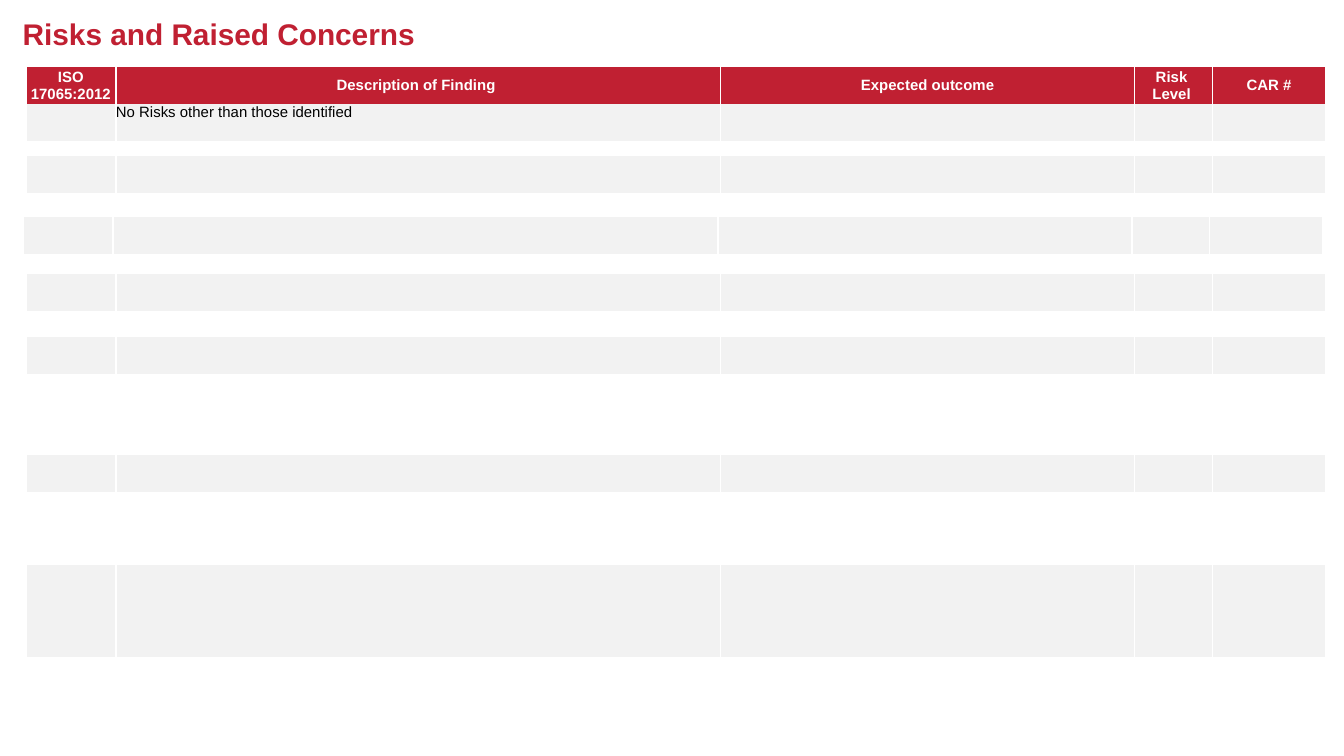
import pptx
import pptx.util
import pptx.dml.color
import pptx.enum.text
import pptx.oxml.ns
from dataclasses import dataclass
from lxml import etree

Pt = pptx.util.Pt
RGB = pptx.dml.color.RGBColor.from_string
qn = pptx.oxml.ns.qn
ALIGN = pptx.enum.text.PP_ALIGN
ANCHOR = pptx.enum.text.MSO_ANCHOR


@dataclass(frozen=True)
class Theme:
    font: str = "Arial"
    red: str = "C02032"
    grey: str = "F2F2F2"
    white: str = "FFFFFF"
    black: str = "000000"
    title: float = 16
    body: float = 8
    rule: float = 1


THEME = Theme()
TITLE_FORMAT = {"color": THEME.red, "size": THEME.title, "bold": True}
HEADER = {"fill": THEME.red, "align": ALIGN.CENTER, "anchor": ANCHOR.MIDDLE,
          "font": {"color": THEME.white, "size": THEME.body, "bold": True}}
BODY = {"fill": THEME.grey, "align": ALIGN.LEFT, "anchor": ANCHOR.TOP,
        "font": {"color": THEME.black, "size": THEME.body, "bold": False}}

COLUMNS = [48.2, 324, 221.8, 41.8, 60.5]
HEADINGS = ["ISO 17065:2012", "Description of Finding ", "Expected outcome",
            "Risk \nLevel ", "CAR #"]
EMPTY = [""] * len(COLUMNS)
FINDING = ["", "No Risks other than those identified", "", "", ""]
LEFT, ROW = 13.9, 19.9
# left, top, height, texts, cell format
STRIPS = [
    (LEFT, 35.9, ROW, HEADINGS, HEADER),
    (LEFT, 55.8, ROW, FINDING, BODY),
    (LEFT, 83.6, ROW, EMPTY, BODY),
    (12.3, 116.2, ROW, EMPTY, BODY),
    (LEFT, 146.8, ROW, EMPTY, BODY),
    (LEFT, 180.5, ROW, EMPTY, BODY),
    (LEFT, 243.8, ROW, EMPTY, BODY),
    (LEFT, 302.6, 49.3, EMPTY, BODY),
]


def format_run(r, fmt):
    r.font.name = THEME.font
    r.font.color.rgb = RGB(fmt["color"])
    for name, value in {"size": Pt(fmt["size"]), "bold": fmt["bold"]}.items():
        setattr(r.font, name, value)


def write(tf, text, fmt, align=ALIGN.LEFT):
    """Put one paragraph per line of text; an empty one keeps the small type size."""
    for i, line in enumerate(text.split("\n")):
        p = tf.paragraphs[0] if i == 0 else tf.add_paragraph()
        p.alignment = align
        if line:
            r = p.add_run()
            r.text = line
            format_run(r, fmt)
        else:
            etree.SubElement(p._p, qn("a:endParaRPr"), sz=str(round(fmt["size"] * 100)))


def rule_sides(cell):
    """White rules at left and right, none at top and bottom."""
    tcPr = cell._tc.get_or_add_tcPr()
    for side in "LRTB":
        ln = etree.SubElement(tcPr, qn("a:ln" + side), w=str(Pt(THEME.rule)))
        if side in "LR":
            fill = etree.SubElement(ln, qn("a:solidFill"))
            etree.SubElement(fill, qn("a:srgbClr"), val=THEME.white)
        else:
            etree.SubElement(ln, qn("a:noFill"))


def add_title(s, x, y, w, h):
    tf = s.shapes.add_textbox(Pt(x), Pt(y), Pt(w), Pt(h)).text_frame
    for side in ("left", "top", "right", "bottom"):
        setattr(tf, "margin_" + side, 0)
    tf.word_wrap = True
    write(tf, "Risks and Raised Concerns", TITLE_FORMAT)


def add_strip(s, x, y, h, texts, fmt):
    """Add a one-row table with the shared columns."""
    frame = s.shapes.add_table(1, len(COLUMNS), Pt(x), Pt(y), Pt(sum(COLUMNS)), Pt(h))
    table = frame.table
    table.first_row = table.horz_banding = False
    table.rows[0].height = Pt(h)
    for column, width in zip(table.columns, COLUMNS):
        column.width = Pt(width)
    for cell, text in zip(table.rows[0].cells, texts):
        for side in ("left", "top", "right", "bottom"):
            setattr(cell, "margin_" + side, 0)
        cell.vertical_anchor = fmt["anchor"]
        rule_sides(cell)
        cell.fill.solid()
        cell.fill.fore_color.rgb = RGB(fmt["fill"])
        write(cell.text_frame, text, fmt["font"], fmt["align"])


def main():
    prs = pptx.Presentation()
    prs.slide_width, prs.slide_height = Pt(720), Pt(405)
    s = prs.slides.add_slide(prs.slide_layouts[6])
    add_title(s, 12.2, 8.6, 672.5, 19.4)
    for strip in STRIPS:
        add_strip(s, *strip)
    prs.save("out.pptx")


if __name__ == "__main__":
    main()
